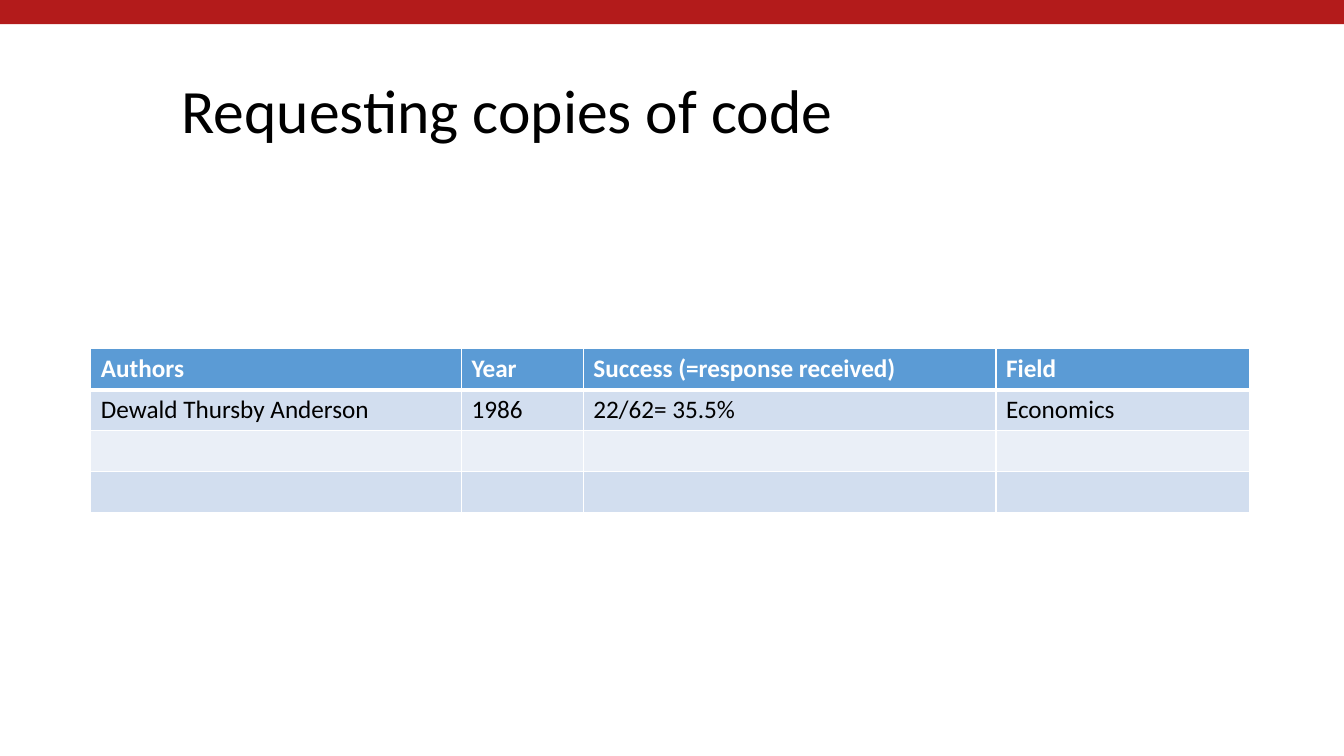
from lxml.etree import SubElement
from pptx import Presentation
from pptx.dml.color import RGBColor
from pptx.enum.shapes import MSO_SHAPE as Preset
from pptx.enum.text import MSO_ANCHOR as Anchor, PP_ALIGN as Align
from pptx.oxml.ns import qn
from pptx.util import Cm, Pt

FONT = "Calibri"
RED = RGBColor(0xB3, 0x1B, 0x1B)
BLUE = RGBColor(0x5B, 0x9B, 0xD5)
BANDS = [RGBColor(0xD2, 0xDE, 0xEF), RGBColor(0xEA, 0xEF, 0xF7)]
WHITE = RGBColor(0xFF, 0xFF, 0xFF)
BLACK = RGBColor(0x00, 0x00, 0x00)

COLUMN_WIDTHS = [9.34, 3.07, 10.4, 6.4]
ROW_HEIGHT = 1.03
ROWS = [
    ["Authors", "Year", "Success (=response received)", "Field"],
    ["Dewald Thursby Anderson", "1986", "22/62= 35.5%", "Economics"],
    [""] * 4,
    [""] * 4,
]


def format_font(font, size, color, bold=False):
    font.name = FONT
    font.size = Pt(size)
    font.bold = bold
    font.color.rgb = color


def add_top_bar(page, width):
    bar = page.shapes.add_shape(Preset.RECTANGLE, 0, 0, width, Cm(0.61))
    bar.shadow.inherit = False
    bar.fill.solid()
    bar.fill.fore_color.rgb = RED
    bar.line.fill.background()


def set_title(page, text):
    title = page.shapes.title
    title.left, title.top = Cm(4.32), Cm(1.02)
    title.width, title.height = Cm(27.18), Cm(3.68)
    frame = title.text_frame
    frame.text = text
    frame.word_wrap = True
    frame.vertical_anchor = Anchor.MIDDLE
    para = frame.paragraphs[0]
    para.alignment = Align.LEFT
    para.line_spacing = 0.9
    format_font(para.runs[0].font, 44, BLACK)


def set_borders(cell, top, bottom):
    properties = cell._tc.get_or_add_tcPr()
    widths = {"a:lnL": 1, "a:lnR": 1, "a:lnT": top, "a:lnB": bottom}
    for position, (tag, width) in enumerate(widths.items()):
        line = SubElement(properties, qn(tag), w=str(Pt(width)))
        fill = SubElement(line, qn("a:solidFill"))
        SubElement(fill, qn("a:srgbClr"), val=str(WHITE))
        properties.insert(position, line)


def format_cell(cell, text, row):
    header = row == 0
    cell.text = text
    para = cell.text_frame.paragraphs[0]
    format_font(para.font, 18, WHITE if header else BLACK, header)
    for span in para.runs:
        format_font(span.font, 18, WHITE if header else BLACK, header)
    cell.fill.solid()
    cell.fill.fore_color.rgb = BLUE if header else BANDS[(row - 1) % 2]
    set_borders(cell, top=3 if row == 1 else 1, bottom=3 if header else 1)


def add_response_table(page):
    frame = page.shapes.add_table(
        len(ROWS), len(COLUMN_WIDTHS), Cm(2.29), Cm(8.79),
        Cm(sum(COLUMN_WIDTHS)), Cm(ROW_HEIGHT * len(ROWS)))
    table = frame.table
    for column, width in zip(table.columns, COLUMN_WIDTHS):
        column.width = Cm(width)
    for row, texts in enumerate(ROWS):
        table.rows[row].height = Cm(ROW_HEIGHT)
        for column, text in enumerate(texts):
            format_cell(table.cell(row, column), text, row)


def main():
    deck = Presentation()
    deck.slide_width, deck.slide_height = Cm(33.87), Cm(19.05)
    page = deck.slides.add_slide(deck.slide_layouts[5])
    add_top_bar(page, deck.slide_width)
    set_title(page, "Requesting copies of code")
    add_response_table(page)
    deck.save("out.pptx")


if __name__ == "__main__":
    main()
